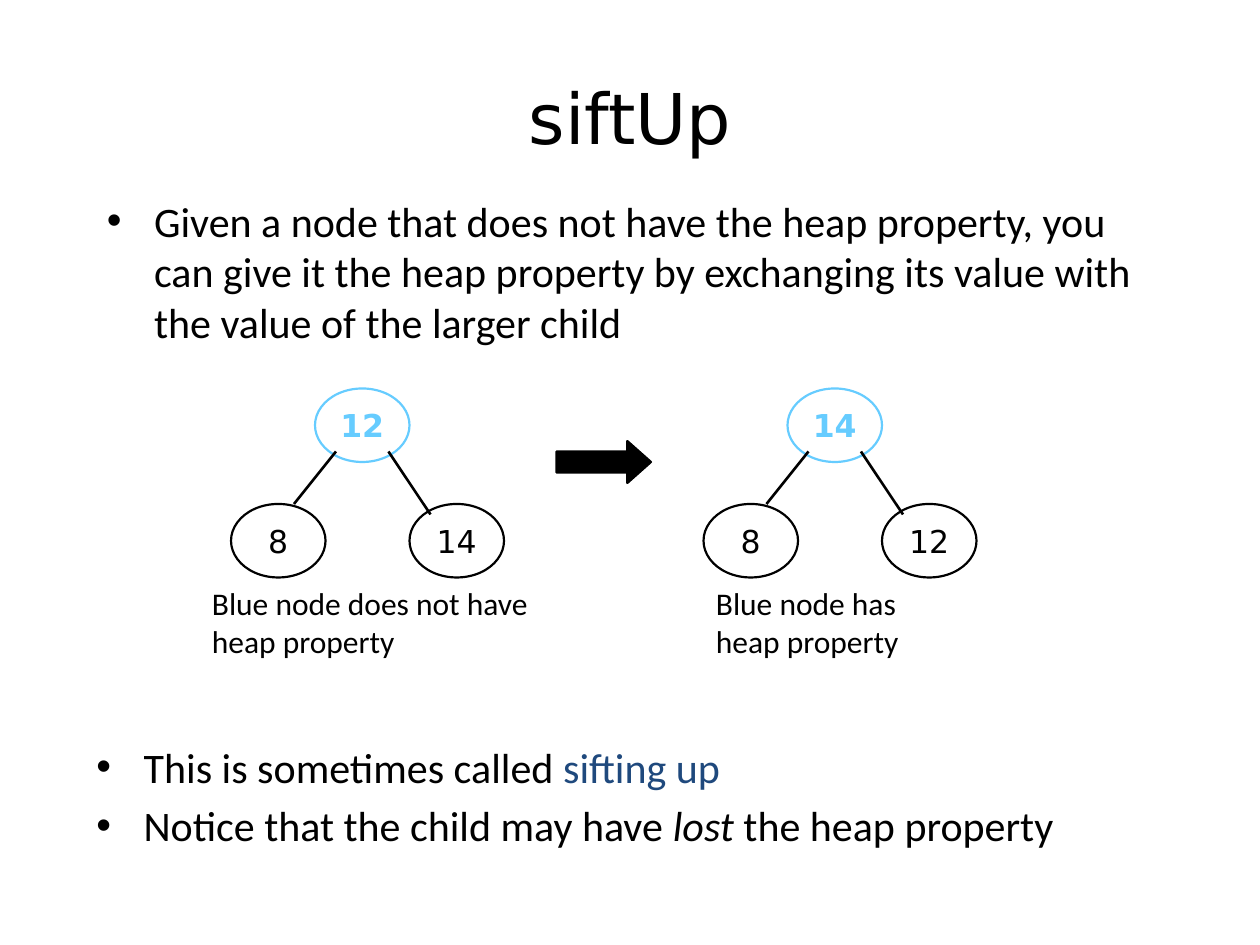
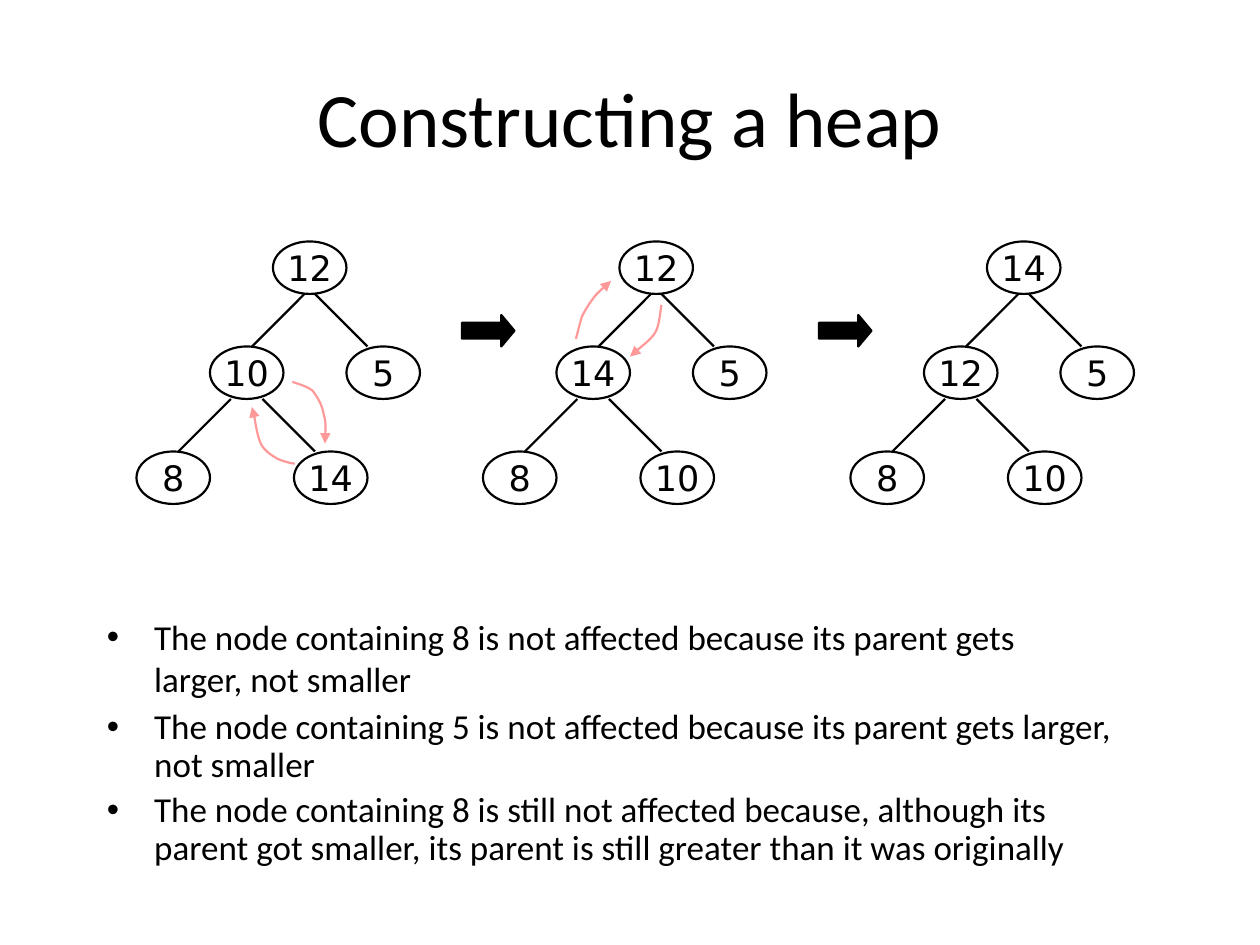
from lxml.etree import SubElement
from pptx import Presentation
from pptx.dml.color import RGBColor
from pptx.enum.shapes import MSO_CONNECTOR, MSO_SHAPE
from pptx.enum.text import MSO_ANCHOR, PP_ALIGN
from pptx.oxml.ns import qn
from pptx.util import Pt

INK = {"black": "000000", "sky": "66CCFF", "navy": "1F497D", "pink": "FF9999"}
BODY, SANS = "Calibri", "DejaVu Sans"
TITLE = (36, 21.6, 648, 90)


def write(shape, *paras, size=24, font=BODY, ink="black", bold=False, center=False,
          bullet=False, wrap=True, lines=None):
    """Fill a shape; a paragraph is a string or a list of (text, ink, italic) runs."""
    frame = shape.text_frame
    frame.word_wrap = wrap
    frame.vertical_anchor = MSO_ANCHOR.MIDDLE if center else MSO_ANCHOR.TOP
    for n, runs in enumerate(paras):
        para = frame.paragraphs[0] if n == 0 else frame.add_paragraph()
        if bullet:
            props = para._p.get_or_add_pPr()
            props.set("marL", str(Pt(27)))
            props.set("indent", str(-Pt(27)))
            SubElement(props, qn("a:buFont"), typeface="Arial")
            SubElement(props, qn("a:buChar"), char="•")
        para.alignment = PP_ALIGN.CENTER if center else PP_ALIGN.LEFT
        if lines:
            para.line_spacing = lines
        if n:
            para.space_before = Pt(size * 0.2)
        for words, tint, slant in [(runs, ink, False)] if isinstance(runs, str) else runs:
            run = para.add_run()
            run.text = words
            run.font.name, run.font.size = font, Pt(size)
            run.font.bold, run.font.italic = bold, slant
            run.font.color.rgb = RGBColor.from_string(INK[tint])


def tree(slide, left, top, values, plan, root="black"):
    """Draw a binary tree as one group, with node and edge offsets taken from plan."""
    group = slide.shapes.add_group_shape().shapes
    for n, (value, (x, y)) in enumerate(zip(values, plan["nodes"])):
        ink = "black" if n else root
        node = group.add_shape(MSO_SHAPE.OVAL, Pt(left + x), Pt(top + y), *map(Pt, plan["oval"]))
        node.shadow.inherit = False
        node.fill.background()
        node.line.color.rgb = RGBColor.from_string(INK[ink])
        node.line.width = Pt(1.25)
        write(node, str(value), size=plan["size"], font=SANS, ink=ink,
              bold=ink != "black", center=True, wrap=False)
    for x1, y1, x2, y2 in plan["edges"]:
        edge = group.add_connector(MSO_CONNECTOR.STRAIGHT, Pt(left + x1), Pt(top + y1),
                                   Pt(left + x2), Pt(top + y2))
        edge.line.color.rgb = RGBColor.from_string(INK["black"])
        edge.line.width = Pt(plan["line"])
        SubElement(edge._element.spPr, qn("a:effectLst"))


deck = Presentation()
deck.slide_width, deck.slide_height = Pt(720), Pt(540)
sift, heap = [deck.slides.add_slide(deck.slide_layouts[6]) for _ in range(2)]

# Titles, bullets and captions
point = {"bullet": True}
small = {"bullet": True, "size": 20}
note = {"size": 18}
texts = [
    (sift, TITLE, ["siftUp"], {"size": 40, "font": SANS, "center": True}),
    (sift, (54, 108, 612, 120), [
        "Given a node that does not have the heap property, you can give it the heap property "
        "by exchanging its value with the value of the larger child"], point),
    (sift, (48, 420, 618, 102), [
        [("This is sometimes called ", "black", False), ("sifting up", "navy", False)],
        [("Notice that the child may have ", "black", False), ("lost", "black", True),
         (" the heap property", "black", False)]], point),
    (sift, (114, 330, 204, 65), ["Blue node does not have heap property"], note),
    (sift, (402, 330, 156, 65), ["Blue node has heap property"], note),
    (heap, TITLE, ["Constructing a heap"], {"size": 44, "center": True}),
    (heap, (54, 348, 588, 58), [
        "The node containing 8 is not affected because its parent gets larger, not smaller"], small),
    (heap, (54, 402, 600, 102), [
        "The node containing 5 is not affected because its parent gets larger, not smaller",
        "The node containing 8 is still not affected because, although its parent got smaller, "
        "its parent is still greater than it was originally"], {**small, "lines": 0.9}),
]
for slide, box, paras, style in texts:
    write(slide.shapes.add_textbox(*map(Pt, box)), *paras, **style)

# Trees
trio = {"oval": (54, 42), "size": 18, "line": 1.5,
        "nodes": [(48, 0), (0, 66), (102, 66)],
        "edges": [(60, 36, 36, 66), (90, 36, 114, 72)]}
for left, values in [(132, (12, 8, 14)), (402, (14, 8, 12))]:
    tree(sift, left, 222, values, trio, root="sky")

five = {"oval": (42, 30), "size": 20, "line": 1.25,
        "nodes": [(78, 0), (42, 60), (120, 60), (0, 120), (90, 120)],
        "edges": [(96, 30, 66, 60), (102, 30, 132, 60), (54, 90, 24, 120), (72, 90, 102, 120)]}
for left, values in [(78, (12, 10, 5, 8, 14)), (276, (12, 14, 5, 8, 10)),
                     (486, (14, 12, 5, 8, 10))]:
    tree(heap, left, 138, values, five)

# Block arrows between the trees
for slide, box, head in [(sift, (318, 252, 54, 24), 0.562),
                         (heap, (264, 180, 30, 18), 0.417),
                         (heap, (468, 180, 30, 18), 0.417)]:
    arrow = slide.shapes.add_shape(MSO_SHAPE.RIGHT_ARROW, *map(Pt, box))
    arrow.shadow.inherit = False
    arrow.adjustments[0], arrow.adjustments[1] = 0.5, head
    arrow.fill.solid()
    arrow.fill.fore_color.rgb = RGBColor.from_string(INK["black"])
    arrow.line.color.rgb = RGBColor.from_string(INK["black"])
    arrow.line.width = Pt(1.25)

# Curved swap arrows: a start, then three Bezier points for each bend, in inches
swaps = [
    [(2.34, 3.68), (2.32, 3.68), (2.24, 3.66), (2.2, 3.64), (2.15, 3.61), (2.1, 3.58),
     (2.07, 3.52), (2.04, 3.45), (2.02, 3.29), (2, 3.23)],
    [(2.32, 3.03), (2.34, 3.04), (2.43, 3.06), (2.48, 3.1), (2.52, 3.15), (2.56, 3.22),
     (2.57, 3.29), (2.59, 3.36), (2.58, 3.48), (2.58, 3.52)],
    [(4.57, 2.69), (4.58, 2.66), (4.6, 2.57), (4.62, 2.51), (4.65, 2.45), (4.69, 2.39),
     (4.73, 2.34), (4.77, 2.3), (4.83, 2.25), (4.85, 2.23)],
    [(5.25, 2.42), (5.24, 2.45), (5.24, 2.57), (5.2, 2.64), (5.16, 2.7), (5.04, 2.79),
     (5, 2.83)],
]
for first, *rest in swaps:
    pen = heap.shapes.build_freeform(*first, scale=Pt(72))
    pen = heap.shapes.build_freeform(*[Pt(72 * v) for v in first])
    pen.add_line_segments([(Pt(72 * x), Pt(72 * y)) for x, y in rest], close=False)
    curve = pen.convert_to_shape()
    curve.shadow.inherit = False
    curve.fill.background()
    curve.line.color.rgb = RGBColor.from_string(INK["pink"])
    curve.line.width = Pt(1.25)
    SubElement(curve.line._get_or_add_ln(), qn("a:tailEnd"), type="triangle")
    track = next(curve._element.iter(qn("a:path")))
    steps = track.findall(qn("a:lnTo"))
    for n in range(0, len(steps), 3):
        bend = SubElement(track, qn("a:cubicBezTo"))
        for step in steps[n:n + 3]:
            bend.append(step[0])
            track.remove(step)

deck.save("out.pptx")
